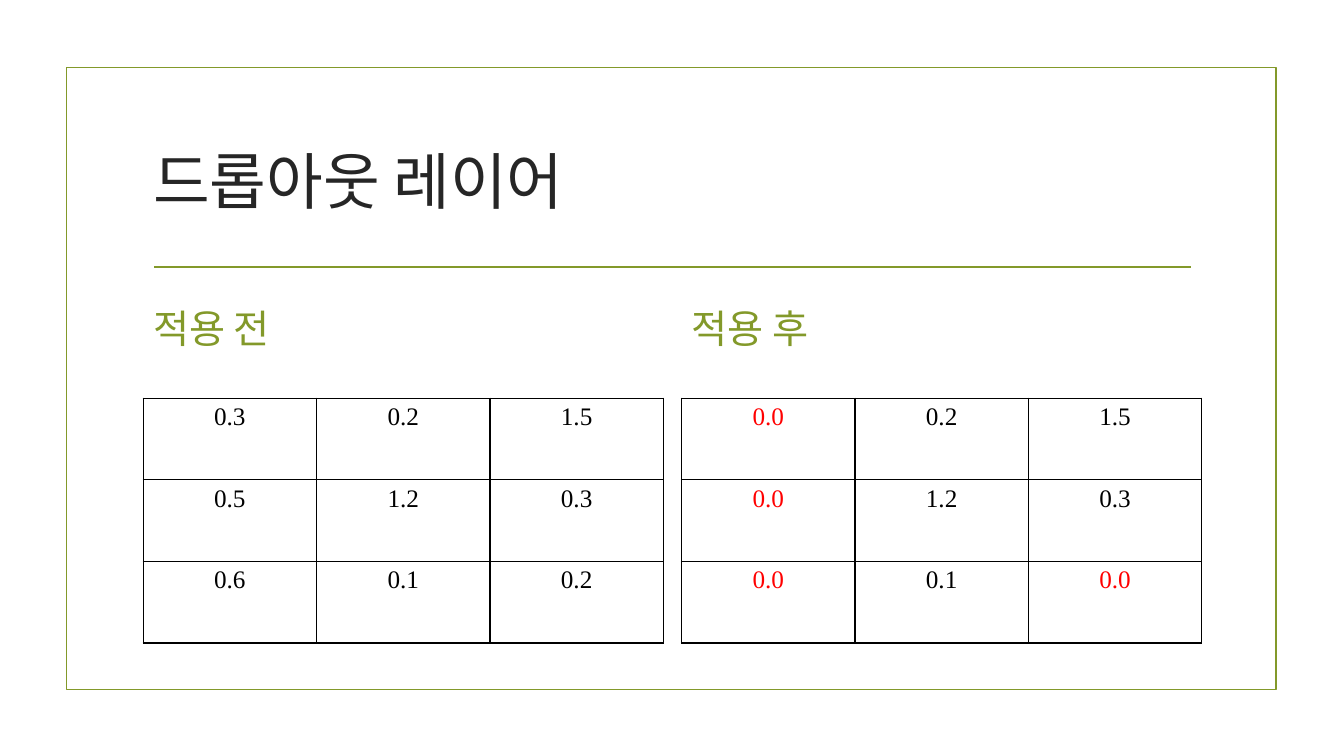
from lxml import etree
from pptx import Presentation
from pptx.dml.color import RGBColor
from pptx.enum import shapes, text
from pptx.oxml import ns
from pptx.util import Inches, Pt

FONT = "Times New Roman"
COLORS = {"accent": "83992A", "title": "262626", "ink": "000000", "dropped": "FF0000"}

LEFT, PANEL_STEP, PANEL_WIDTH = 1.42, 5.34, 5.16
HEADING_TOP, TABLE_TOP, ROW_HEIGHT = 2.91, 3.95, 0.81
PANELS = [
    ("적용 전", [["0.3", "0.2", "1.5"], ["0.5", "1.2", "0.3"], ["0.6", "0.1", "0.2"]]),
    ("적용 후", [["0.0", "0.2", "1.5"], ["0.0", "1.2", "0.3"], ["0.0", "0.1", "0.0"]]),
]


def rgb(name):
    return RGBColor.from_string(COLORS[name])


def write_text(frame, words, size, color, align=text.PP_ALIGN.LEFT, after=0):
    paragraph = frame.paragraphs[0]
    paragraph.alignment = align
    paragraph.space_after = Pt(after)
    run = paragraph.add_run()
    run.text = words
    run.font.size = Pt(size)
    run.font.name = FONT
    run.font.color.rgb = rgb(color)


def add_label(slide, words, box, anchor, **text_format):
    frame = slide.shapes.add_textbox(*map(Inches, box)).text_frame
    frame.word_wrap = True
    frame.vertical_anchor = anchor
    write_text(frame, words, **text_format)


def add_frame(slide):
    frame = slide.shapes.add_shape(
        shapes.MSO_SHAPE.RECTANGLE, Inches(0.66), Inches(0.67), Inches(12), Inches(6.17))
    frame.shadow.inherit = False
    frame.fill.background()
    frame.line.color.rgb = rgb("accent")
    frame.line.width = Pt(1.25)


def add_title_rule(slide):
    rule = slide.shapes.add_connector(
        shapes.MSO_CONNECTOR.STRAIGHT, Inches(1.53), Inches(2.65), Inches(11.81), Inches(2.65))
    rule.line.color.rgb = rgb("accent")
    rule.line.width = Pt(1.25)
    etree.SubElement(rule._element.spPr, ns.qn("a:effectLst"))


def add_cell_borders(cell):
    properties = cell._tc.get_or_add_tcPr()
    for side in ("a:lnL", "a:lnR", "a:lnT", "a:lnB"):
        border = etree.SubElement(properties, ns.qn(side), w=str(Pt(1)))
        fill = etree.SubElement(border, ns.qn("a:solidFill"))
        etree.SubElement(fill, ns.qn("a:srgbClr"), val=COLORS["ink"])


def add_matrix(slide, left, values):
    """Draw a bordered grid of values, with the zeroed ones in red."""
    row_count, column_count = len(values), len(values[0])
    matrix = slide.shapes.add_table(
        row_count, column_count, Inches(left), Inches(TABLE_TOP),
        Inches(PANEL_WIDTH), Inches(ROW_HEIGHT * row_count)).table
    matrix.first_row = matrix.horz_banding = False
    for row, row_values in enumerate(values):
        for column, value in enumerate(row_values):
            cell = matrix.cell(row, column)
            add_cell_borders(cell)
            cell.fill.background()
            write_text(cell.text_frame, value, size=18,
                       color="dropped" if value == "0.0" else "ink",
                       align=text.PP_ALIGN.CENTER)


def main():
    deck = Presentation()
    deck.slide_width, deck.slide_height = Inches(13.33), Inches(7.5)
    slide = deck.slides.add_slide(deck.slide_layouts[6])
    add_frame(slide)
    add_title_rule(slide)
    add_label(slide, "드롭아웃 레이어", (LEFT, 1.07, 10.5, 1.43), text.MSO_ANCHOR.MIDDLE,
              size=44, color="title")
    for index, (heading, values) in enumerate(PANELS):
        left = LEFT + index * PANEL_STEP
        add_label(slide, heading, (left, HEADING_TOP, PANEL_WIDTH, 0.63),
                  text.MSO_ANCHOR.BOTTOM, size=28, color="accent", after=6)
        add_matrix(slide, left, values)
    deck.save("out.pptx")


if __name__ == "__main__":
    main()
